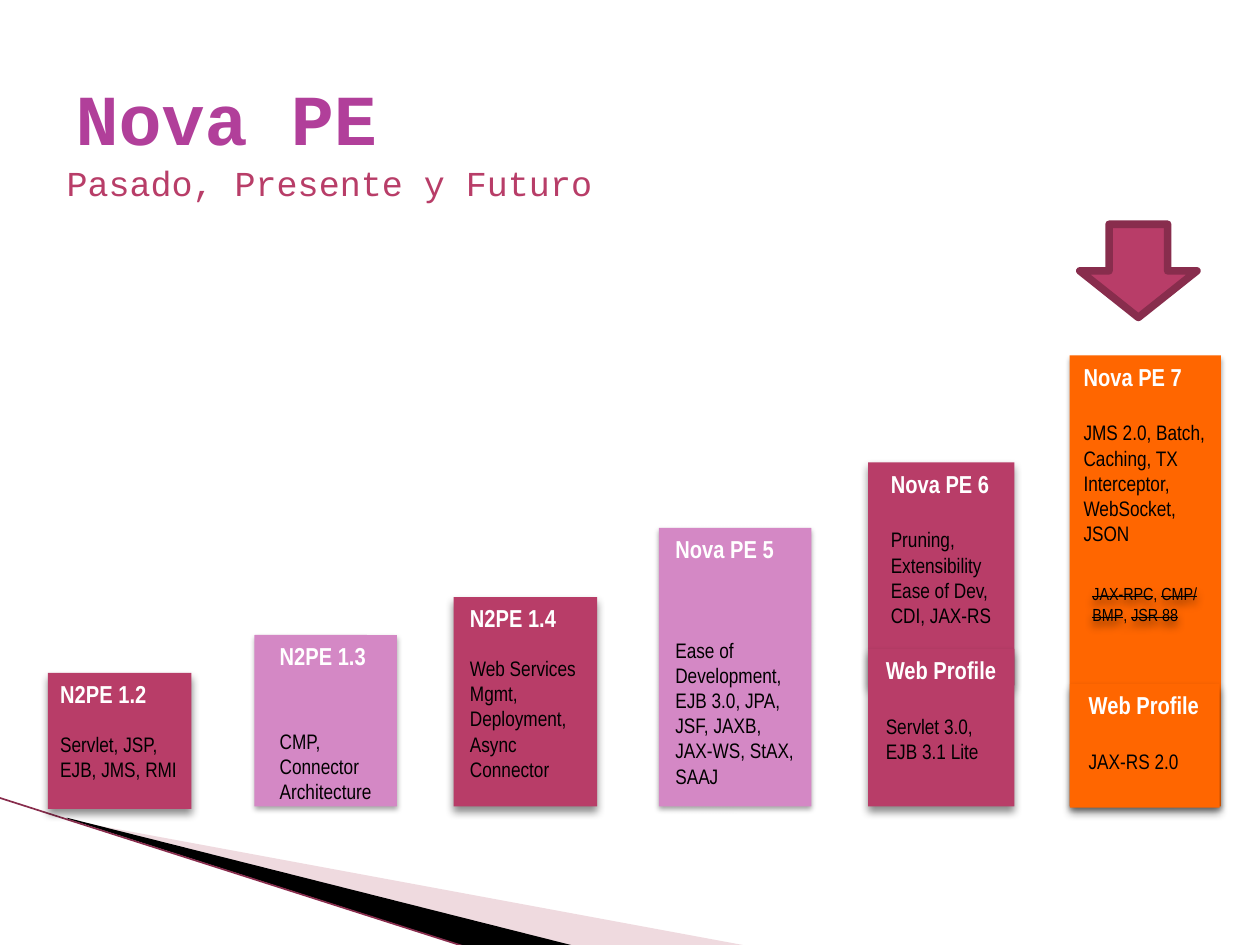
from dataclasses import dataclass

from lxml.etree import SubElement
from pptx import Presentation
from pptx.dml.color import RGBColor
from pptx.enum.shapes import MSO_CONNECTOR, MSO_SHAPE
from pptx.enum.text import MSO_ANCHOR, PP_ALIGN
from pptx.oxml.ns import qn
from pptx.util import Inches, Pt


@dataclass(frozen=True)
class Theme:
    heading: str = "Courier New"
    label: str = "Arial Narrow"
    title: str = "B13F9A"
    rose: str = "B83D68"
    pink: str = "D488C5"
    orange: str = "FF6600"
    edge: str = "882D4D"
    pale: str = "D8A3AF"
    black: str = "000000"
    white: str = "FFFFFF"
    title_size: float = 41
    subtitle_size: float = 20
    name_size: float = 14
    body_size: float = 12
    small_size: float = 10


SOFT = (35, 3.1, 1.8)  # shadow opacity %, blur pt, distance pt
STRONG = (45, 5, 3)


class Deck:
    def __init__(self, theme):
        self.theme = theme
        self.prs = Presentation()
        self.prs.slide_width, self.prs.slide_height = Inches(10), Inches(7.5)
        self.s = self.prs.slides.add_slide(self.prs.slide_layouts[5])

    def format(self, p, text, font, size, color, bold=False, strike=False):
        r = p.add_run()
        r.text = text
        for key, value in dict(name=font, size=Pt(size), bold=bold).items():
            setattr(r.font, key, value)
        r.font.color.rgb = RGBColor.from_string(color)
        if strike:
            r.font._element.set("strike", "sngStrike")

    def frame(self, sp, left=0.1, right=0.1, anchor=MSO_ANCHOR.TOP):
        tf = sp.text_frame
        values = dict(word_wrap=True, vertical_anchor=anchor,
                      margin_left=Inches(left), margin_right=Inches(right),
                      margin_top=Inches(0.05), margin_bottom=Inches(0.05))
        for key, value in values.items():
            setattr(tf, key, value)
        tf.paragraphs[0].alignment = PP_ALIGN.LEFT
        return tf

    def paint(self, sp, fill, alpha=None):
        sp.shadow.inherit = False
        sp.line.fill.background()
        if not fill:
            sp.fill.background()
            return
        sp.fill.solid()
        sp.fill.fore_color.rgb = RGBColor.from_string(fill)
        if alpha:
            clr = sp._element.spPr.find(".//" + qn("a:srgbClr"))
            SubElement(clr, qn("a:alpha"), val=str(alpha * 1000))

    def drop_shadow(self, sp, opacity, blur, dist):
        effects = sp._element.spPr.find(qn("a:effectLst"))
        shadow = SubElement(effects, qn("a:outerShdw"), blurRad=str(Pt(blur)),
                            dist=str(Pt(dist)), dir="5400000", rotWithShape="0")
        clr = SubElement(shadow, qn("a:srgbClr"), val=self.theme.black)
        SubElement(clr, qn("a:alpha"), val=str(opacity * 1000))

    def title(self, text, *box):
        sp = self.s.shapes.title
        sp.left, sp.top, sp.width, sp.height = map(Inches, box)
        tf = self.frame(sp, anchor=MSO_ANCHOR.MIDDLE)
        t = self.theme
        self.format(tf.paragraphs[0], text, t.heading, t.title_size, t.title, bold=True)

    def subtitle(self, text, *box):
        tf = self.frame(self.s.shapes.add_textbox(*map(Inches, box)))
        p = tf.paragraphs[0]
        p.space_before = Pt(4)
        t = self.theme
        self.format(p, text, t.heading, t.subtitle_size, t.rose)

    def wedge(self, points, fill, alpha=None):
        points = [(Inches(x), Inches(y)) for x, y in points]
        builder = self.s.shapes.build_freeform(*points[0])
        builder.add_line_segments(points[1:])
        self.paint(builder.convert_to_shape(), fill, alpha)

    def line(self, ends, color, width):
        cn = self.s.shapes.add_connector(MSO_CONNECTOR.STRAIGHT, *map(Inches, ends))
        cn.line.color.rgb = RGBColor.from_string(color)
        cn.line.width = Pt(width)
        SubElement(cn._element.spPr, qn("a:effectLst"))

    def block(self, box, fill, shadow):
        sp = self.s.shapes.add_shape(MSO_SHAPE.ROUNDED_RECTANGLE, *map(Inches, box))
        sp.adjustments[0] = 0.001
        self.paint(sp, fill)
        self.drop_shadow(sp, *shadow)
        return sp

    def release(self, box, fill, shadow, inset, name, gap, lines):
        """Add a version block; gap is the space in points below its name."""
        t = self.theme
        tf = self.frame(self.block(box, fill, shadow), inset, 0.08)
        self.format(tf.paragraphs[0], name, t.label, t.name_size, t.white, bold=True)
        for i, text in enumerate(lines):
            p = tf.add_paragraph()
            p.alignment = PP_ALIGN.LEFT
            p.space_before = Pt(0 if i else gap)
            self.format(p, text, t.label, t.body_size, t.black)

    def pruned(self, box, items):
        t = self.theme
        tf = self.frame(self.block(box, None, STRONG), 0.18)
        p = tf.paragraphs[0]
        for i, item in enumerate(items):
            if i:
                self.format(p, ", ", t.label, t.small_size, t.black)
            self.format(p, item, t.label, t.small_size, t.black, strike=True)

    def arrow(self, *box):
        sp = self.s.shapes.add_shape(MSO_SHAPE.DOWN_ARROW, *map(Inches, box))
        self.paint(sp, self.theme.rose)
        sp.line.color.rgb = RGBColor.from_string(self.theme.edge)
        sp.line.width = Pt(4.33)


def main():
    t = Theme()
    deck = Deck(t)
    deck.wedge([(0.55, 6.51), (5.95, 7.51), (4.56, 7.51), (0.55, 6.5)], t.pale, 40)
    deck.wedge([(0.53, 6.49), (4.57, 7.51), (3.72, 7.52), (0.54, 6.5)], t.black)
    deck.line((-0.01, 6.33, 3.71, 7.52), t.edge, 0.95)
    deck.title("Nova PE", 0.5, 0.3, 9, 1.25)

    releases = [
        ((0.38, 5.34, 1.14, 1.08), t.rose, STRONG, 0.1, "N2PE 1.2", 13,
         ["Servlet, JSP, EJB, JMS, RMI"]),
        ((2.02, 5.04, 1.13, 1.36), t.pink, SOFT, 0.2, "N2PE 1.3", 33,
         ["CMP,", "Connector", "Architecture"]),
        ((3.6, 4.74, 1.14, 1.66), t.rose, STRONG, 0.13, "N2PE 1.4", 13,
         ["Web Services", "Mgmt, Deployment,", "Async", "Connector"]),
        ((5.23, 4.19, 1.21, 2.21), t.pink, SOFT, 0.13, "Nova PE 5", 42,
         ["Ease of", "Development,", "EJB 3.0, JPA, JSF, JAXB, JAX-WS, StAX, SAAJ"]),
        ((6.89, 3.67, 1.16, 1.77), t.rose, STRONG, 0.18, "Nova PE 6", 16.5,
         ["Pruning,", "Extensibility", "Ease of Dev,", "CDI, JAX-RS"]),
        ((6.89, 5.15, 1.16, 1.25), t.rose, STRONG, 0.14, "Web Profile", 16.5,
         ["Servlet 3.0, EJB 3.1 Lite"]),
        ((8.49, 2.82, 1.2, 3.58), t.orange, SOFT, 0.11, "Nova PE 7", 16.5,
         ["JMS 2.0, Batch, Caching, TX Interceptor, WebSocket, JSON"]),
        ((8.49, 5.43, 1.19, 0.98), t.orange, STRONG, 0.15, "Web Profile", 16.5,
         ["JAX-RS 2.0"]),
    ]
    for release in releases:
        deck.release(*release)
    deck.pruned((8.49, 4.58, 1.2, 0.58), ["JAX-RPC", "CMP/ BMP", "JSR 88"])
    deck.arrow(8.57, 1.78, 0.93, 0.74)
    deck.subtitle("Pasado, Presente y Futuro", 0.43, 1.23, 9, 0.44)
    deck.prs.save("out.pptx")


if __name__ == "__main__":
    main()
